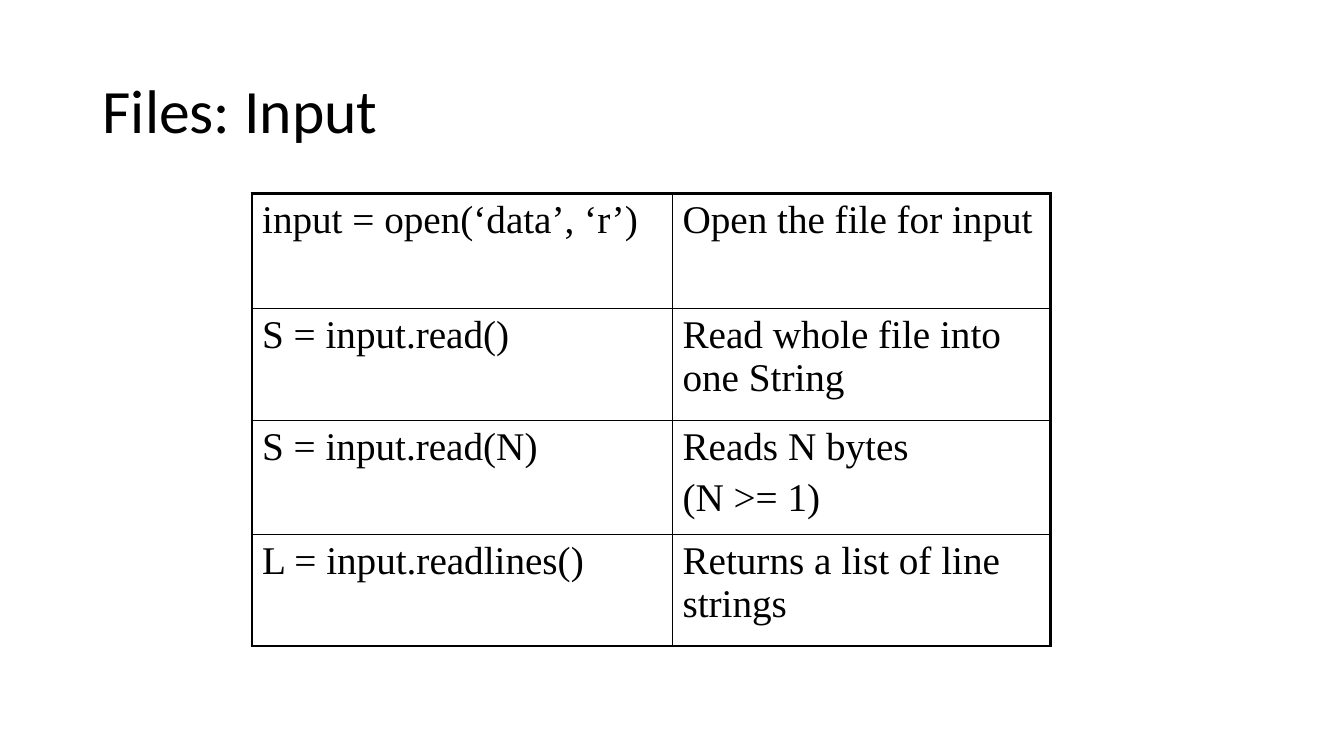
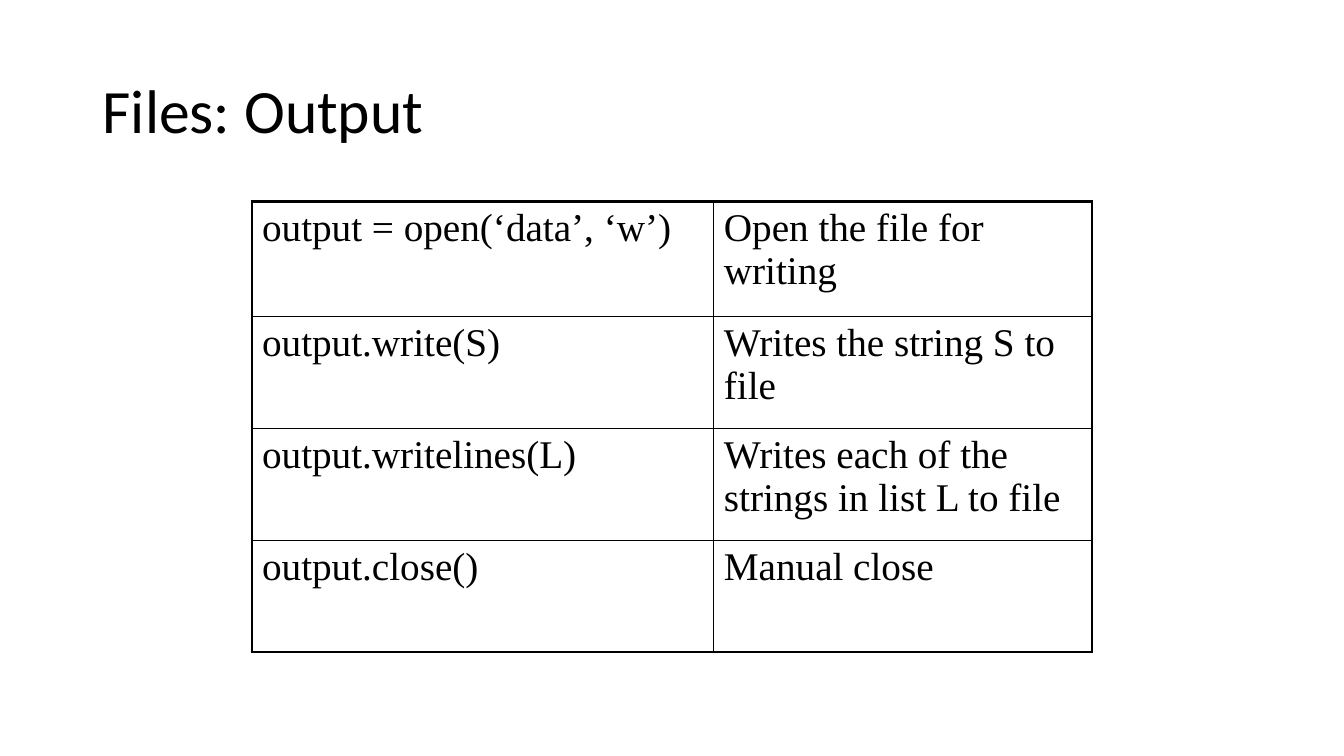
from lxml.etree import SubElement
from pptx import Presentation
from pptx.dml.color import RGBColor
from pptx.enum.text import MSO_ANCHOR
from pptx.oxml.ns import qn
from pptx.util import Inches, Pt

COLORS = {"ink": "000000", "paper": "FFFFFF"}
TITLE_BOX = (0.92, 0.4, 11.5, 1.45)
TITLE_FONT = ("Calibri", 44)
TABLE_FONT = ("Times New Roman", 28)
OUTER_LINE, INNER_LINE = 2.25, 1

PAGES = [
    {
        "title": "Files: Input",
        "corner": (2.5, 1.92),
        "columns": (4.17, 3.75),
        "heights": (1.14, 1.11, 1.13, 1.11),
        "rows": [
            ("input = open(‘data’, ‘r’)", "Open the file for input"),
            ("S = input.read()", "Read whole file into one String"),
            ("S = input.read(N)", "Reads N bytes\n(N >= 1)"),
            ("L = input.readlines()", "Returns a list of line strings"),
        ],
    },
    {
        "title": "Files: Output",
        "corner": (2.5, 2),
        "columns": (4.58, 3.75),
        "heights": (1.14, 1.11, 1.11, 1.11),
        "rows": [
            ("output = open(‘data’, ‘w’)", "Open the file for writing"),
            ("output.write(S)", "Writes the string S to file"),
            ("output.writelines(L)", "Writes each of the strings in list L to file"),
            ("output.close()", "Manual close"),
        ],
    },
]


def add_span(para, text, font):
    span = para.add_run()
    span.text = text
    span.font.name, size = font
    span.font.size = Pt(size)
    span.font.color.rgb = RGBColor.from_string(COLORS["ink"])


def add_title(page, text, box):
    frame = page.shapes.add_textbox(*map(Inches, box)).text_frame
    frame.word_wrap = True
    frame.vertical_anchor = MSO_ANCHOR.MIDDLE
    para = frame.paragraphs[0]
    para.line_spacing = 0.9
    add_span(para, text, TITLE_FONT)


def add_borders(cell, outer_sides):
    props = cell._tc.get_or_add_tcPr()
    for side in "LRTB":
        width = OUTER_LINE if side in outer_sides else INNER_LINE
        line = SubElement(props, qn(f"a:ln{side}"), w=str(Pt(width)))
        fill = SubElement(line, qn("a:solidFill"))
        SubElement(fill, qn("a:srgbClr"), val=COLORS["ink"])


def fill_cell(cell, text):
    cell.margin_left = cell.margin_right = Inches(0.1)
    cell.margin_top = cell.margin_bottom = Inches(0.05)
    frame = cell.text_frame
    for index, line in enumerate(text.split("\n")):
        para = frame.add_paragraph() if index else frame.paragraphs[0]
        if index:
            para.space_before = Pt(5.6)
        add_span(para, line, TABLE_FONT)


def add_call_table(page, corner, columns, heights, rows):
    box = (*corner, sum(columns), sum(heights))
    table = page.shapes.add_table(len(rows), len(columns), *map(Inches, box)).table
    table.first_row = table.horz_banding = False
    for column, width in zip(table.columns, columns):
        column.width = Inches(width)
    last_row, last_column = len(rows) - 1, len(columns) - 1
    for r, (texts, height) in enumerate(zip(rows, heights)):
        table.rows[r].height = Inches(height)
        for c, text in enumerate(texts):
            cell = table.cell(r, c)
            edges = {"L": c == 0, "R": c == last_column, "T": r == 0, "B": r == last_row}
            add_borders(cell, [side for side, outer in edges.items() if outer])
            cell.fill.background()
            fill_cell(cell, text)


def add_page(deck, title, **table):
    page = deck.slides.add_slide(deck.slide_layouts[6])
    page.background.fill.solid()
    page.background.fill.fore_color.rgb = RGBColor.from_string(COLORS["paper"])
    add_title(page, title, TITLE_BOX)
    add_call_table(page, **table)


def main():
    deck = Presentation()
    deck.slide_width, deck.slide_height = Inches(13.33), Inches(7.5)
    for content in PAGES:
        add_page(deck, **content)
    deck.save("out.pptx")


if __name__ == "__main__":
    main()
